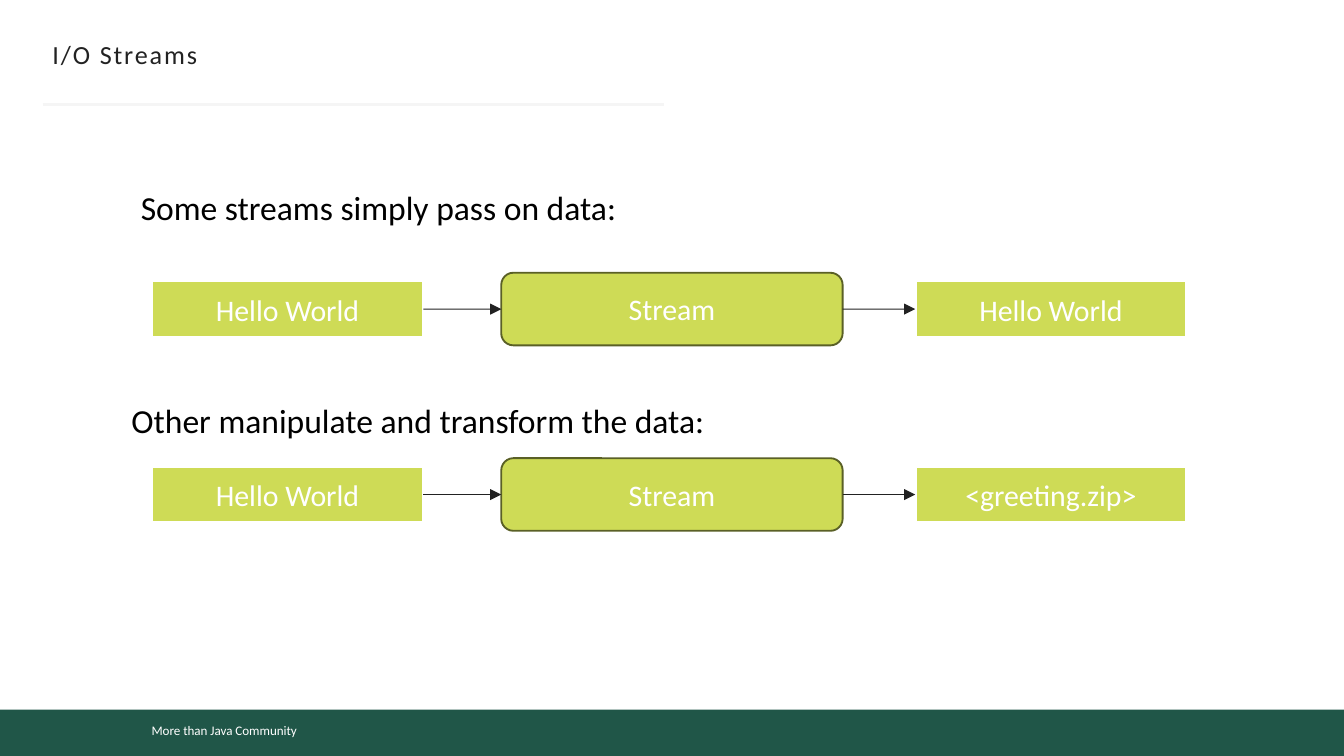
from lxml.etree import SubElement
from pptx import Presentation
from pptx.dml.color import RGBColor
from pptx.enum.shapes import MSO_CONNECTOR, MSO_SHAPE
from pptx.enum.text import MSO_ANCHOR, PP_ALIGN
from pptx.oxml.ns import qn
from pptx.util import Inches, Pt

# Grid: 100 columns by 56.25 rows of square cells
CELL = Inches(0.1)
COLUMNS, ROWS = 100, 56.25
GREEN, LIME, OLIVE = "205648", "CEDB56", "5A6026"
INK, WHITE, BLACK, PALE = "222222", "FFFFFF", "000000", "F5F5F5"
RIGHT_SIDE, LEFT_SIDE = 3, 1

deck = Presentation()
deck.slide_width, deck.slide_height = int(COLUMNS * CELL), int(ROWS * CELL)
slide = deck.slides.add_slide(deck.slide_layouts[6])
shapes = slide.shapes


def paint(color_format, hex_color):
    color_format.rgb = RGBColor.from_string(hex_color)


def write(text, place, shape=None, fill=None, line=None, line_width=1, size=18,
          color=BLACK, align=PP_ALIGN.LEFT, anchor=MSO_ANCHOR.TOP, wrap=True,
          insets=(1, 0.5, 1, 0.5), line_spacing=None, before=0, after=0, tracking=0):
    """Place text, in a filled shape if one is given; place is in grid cells."""
    box = [int(cells * CELL) for cells in place]
    if shape is None:
        item = shapes.add_textbox(*box)
    else:
        item = shapes.add_shape(shape, *box)
        item.shadow.inherit = False
        item.fill.solid()
        paint(item.fill.fore_color, fill)
        if line:
            paint(item.line.color, line)
            item.line.width = Pt(line_width)
        else:
            item.line.fill.background()
    frame = item.text_frame
    frame.word_wrap, frame.vertical_anchor = wrap, anchor
    (frame.margin_left, frame.margin_top,
     frame.margin_right, frame.margin_bottom) = [int(cells * CELL) for cells in insets]
    if text:
        paragraph = frame.paragraphs[0]
        paragraph.alignment, paragraph.line_spacing = align, line_spacing
        paragraph.space_before, paragraph.space_after = Pt(before), Pt(after)
        run = paragraph.add_run()
        run.text, run.font.size, run.font.name = text, Pt(size), "Calibri"
        paint(run.font.color, color)
        if tracking:
            run.font._element.set("spc", str(tracking * 100))
    return item


def connect(start, end, color, width, arrow=False):
    """Draw a straight line between two grid points."""
    line = shapes.add_connector(MSO_CONNECTOR.STRAIGHT,
                                *[int(cells * CELL) for cells in (*start, *end)])
    paint(line.line.color, color)
    line.line.width = Pt(width)
    if arrow:
        SubElement(line.line._get_or_add_ln(), qn("a:tailEnd"), type="triangle")
    SubElement(line._element.spPr, qn("a:effectLst"))
    return line


# Footer band
write("", (0, 52.8, COLUMNS, ROWS - 52.8), shape=MSO_SHAPE.RECTANGLE, fill=GREEN)
write("More than Java Community", (10.3, 53.3, 26.5, 2.2),
      shape=MSO_SHAPE.RECTANGLE, fill=GREEN, size=7, color=WHITE)

# Title and its rule
connect((3.2, 7.8), (49.4, 7.8), PALE, 1.5)
write("I/O Streams", (3.9, 2.5, 92.2, 3.3), size=14, color=INK, wrap=False,
      anchor=MSO_ANCHOR.MIDDLE, insets=(0, 0.5, 0, 0.5), line_spacing=0.9, tracking=1)

# Headings of the two flows
write("Some streams simply pass on data:", (9.9, 14.7, 45.2, 2.9),
      insets=(0.57, 0, 0, 0), line_spacing=Pt(16), before=2.6, after=3)
write("Other manipulate and transform the data:", (8.8, 29.3, 48.9, 4))

# Flows: input, stream, output on a shared centre row
label = dict(fill=LIME, size=16, color=WHITE, align=PP_ALIGN.CENTER,
             anchor=MSO_ANCHOR.MIDDLE)
data = dict(label, shape=MSO_SHAPE.RECTANGLE, line=WHITE, line_width=1.5)
for middle, result in ((23, "Hello World"), (36.8, "<greeting.zip>")):
    stream = write("Stream", (37.3, middle - 2.7, 25.4, 5.4),
                   shape=MSO_SHAPE.ROUNDED_RECTANGLE, line=OLIVE, **label)
    source = write("Hello World", (11.3, middle - 2.1, 20.2, 4.2), **data)
    target = write(result, (68.1, middle - 2.1, 20.2, 4.2), **data)
    for giver, taker, left, right in ((source, stream, 31.5, 37.3),
                                      (stream, target, 62.7, 68.1)):
        arrow = connect((left, middle), (right, middle), INK, 0.5, arrow=True)
        arrow.begin_connect(giver, RIGHT_SIDE)
        arrow.end_connect(taker, LEFT_SIDE)

deck.save("out.pptx")
